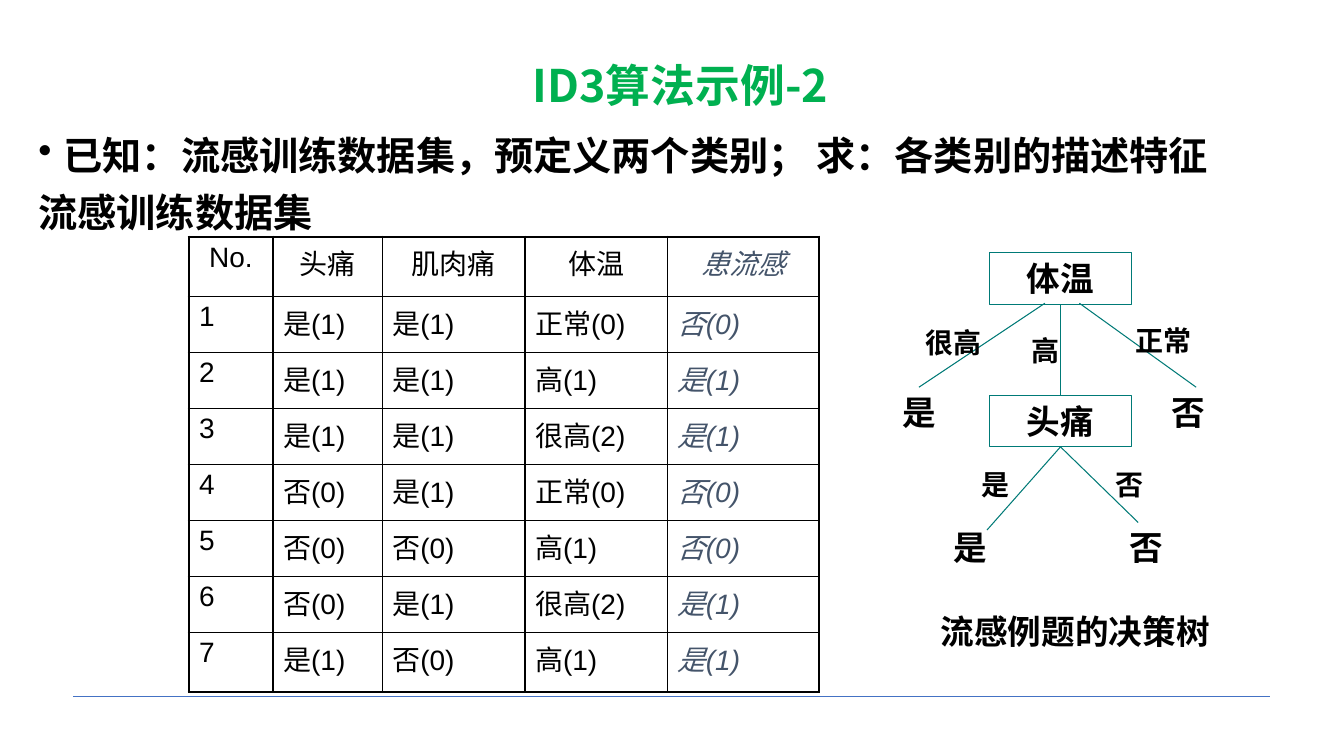
from pptx import Presentation
from pptx import util as u
from pptx.dml.color import RGBColor
from pptx.enum import shapes, text
from pptx.oxml.xmlchemy import OxmlElement

BLACK = RGBColor(0x00, 0x00, 0x00)
GREEN = RGBColor(0x00, 0xB0, 0x50)
TEAL = RGBColor(0x00, 0x7A, 0x77)
BLUE = RGBColor(0x44, 0x72, 0xC4)
SLATE = RGBColor(0x44, 0x54, 0x6A)
CJK_FONT = "Noto Sans CJK SC"
COLUMNS, ROWS = 160, 90
THICK, THIN = 2.25, 1

HEADERS = ["No.", "头痛", "肌肉痛", "体温", "患流感"]
RECORDS = [
    ["是(1)", "是(1)", "正常(0)", "否(0)"],
    ["是(1)", "是(1)", "高(1)", "是(1)"],
    ["是(1)", "是(1)", "很高(2)", "是(1)"],
    ["否(0)", "是(1)", "正常(0)", "否(0)"],
    ["否(0)", "否(0)", "高(1)", "否(0)"],
    ["否(0)", "是(1)", "很高(2)", "是(1)"],
    ["是(1)", "否(0)", "高(1)", "是(1)"],
]
COLUMN_WIDTHS = [10, 13, 17, 17, 18]
ROW_HEIGHTS = [7.1] + [6.67] * 6 + [7.1]
BRANCH_LABELS = [
    ("很高", 108.5, 38.2, 10),
    ("正常", 133.5, 37.9, 10),
    ("高", 120.5, 39.1, 8),
    ("否", 130.5, 55.1, 8),
    ("是", 114.5, 55.1, 8),
]
LEAVES = [
    ("是", 105.5, 46.1),
    ("否", 137.5, 46.1),
    ("是", 111.5, 62.1),
    ("否", 132.5, 62.1),
]


class SlideBuilder:
    """Draws styled elements on one slide, measured in grid columns and rows."""

    def __init__(self, presentation):
        self.slide = presentation.slides.add_slide(presentation.slide_layouts[6])
        self.column = presentation.slide_width / COLUMNS
        self.row = presentation.slide_height / ROWS
        self.font = {"name": "Arial", "size": u.Pt(24), "bold": True, "italic": False}

    def place(self, *values):
        return [round(value * (self.row if index % 2 else self.column))
                for index, value in enumerate(values)]

    def add_wording(self, paragraph, wording, color=BLACK, align=text.PP_ALIGN.CENTER,
                    **changes):
        paragraph.alignment = align
        run = paragraph.add_run()
        run.text = wording
        for name, value in {**self.font, **changes}.items():
            setattr(run.font, name, value)
        run.font.color.rgb = color
        east_asian = OxmlElement("a:ea")
        east_asian.set("typeface", CJK_FONT)
        run.font._element.append(east_asian)

    def label(self, wording, left, top, width, height, **changes):
        box = self.slide.shapes.add_textbox(*self.place(left, top, width, height))
        box.text_frame.word_wrap = True
        self.add_wording(box.text_frame.paragraphs[0], wording, **changes)
        return box

    def title(self, wording, *area):
        box = self.label(wording, *area, color=GREEN, name=CJK_FONT, size=u.Pt(32))
        box.text_frame.vertical_anchor = text.MSO_ANCHOR.MIDDLE
        box.text_frame.paragraphs[0].line_spacing = 0.9

    def body(self, lines, *area):
        frame = self.slide.shapes.add_textbox(*self.place(*area)).text_frame
        frame.word_wrap = True
        for index, (wording, bullet) in enumerate(lines):
            paragraph = frame.add_paragraph() if index else frame.paragraphs[0]
            self.add_wording(paragraph, wording, align=text.PP_ALIGN.LEFT, size=u.Pt(28))
            paragraph.line_spacing = 0.9
            paragraph.space_before = u.Pt(10)
            properties = paragraph._p.get_or_add_pPr()
            properties.set("marL", str(u.Inches(0.25)))
            properties.set("indent", str(u.Inches(-0.25)))
            mark = OxmlElement("a:buChar" if bullet else "a:buNone")
            if bullet:
                mark.set("char", bullet)
            properties.append(mark)

    def node(self, wording, *area):
        box = self.slide.shapes.add_shape(shapes.MSO_SHAPE.RECTANGLE, *self.place(*area))
        box.shadow.inherit = False
        box.fill.background()
        box.line.color.rgb = TEAL
        box.line.width = u.Pt(0.75)
        box.text_frame.vertical_anchor = text.MSO_ANCHOR.TOP
        self.add_wording(box.text_frame.paragraphs[0], wording)
        return box

    def line(self, *ends, color=TEAL, width=0.75, begin=None, end=None):
        connector = self.slide.shapes.add_connector(
            shapes.MSO_CONNECTOR.STRAIGHT, *self.place(*ends))
        connector.line.color.rgb = color
        connector.line.width = u.Pt(width)
        connector._element.spPr.append(OxmlElement("a:effectLst"))
        if begin is not None:
            connector.begin_connect(begin, 2)
        if end is not None:
            connector.end_connect(end, 0)

    def border(self, cell, widths):
        properties = cell._tc.get_or_add_tcPr()
        for index, (side, width) in enumerate(widths.items()):
            edge = OxmlElement(f"a:ln{side}")
            edge.set("w", str(u.Pt(width)))
            fill = OxmlElement("a:solidFill")
            color = OxmlElement("a:srgbClr")
            color.set("val", str(BLACK))
            fill.append(color)
            edge.append(fill)
            properties.insert(index, edge)

    def table(self, records, left, top):
        area = self.place(left, top, sum(COLUMN_WIDTHS), sum(ROW_HEIGHTS))
        table = self.slide.shapes.add_table(len(records), len(records[0]), *area).table
        table.first_row = table.horz_banding = False
        for column, width in zip(table.columns, COLUMN_WIDTHS):
            column.width = round(width * self.column)
        for row, height in zip(table.rows, ROW_HEIGHTS):
            row.height = round(height * self.row)
        last_row, last_column = len(records) - 1, len(records[0]) - 1
        for r, record in enumerate(records):
            for c, wording in enumerate(record):
                cell = table.cell(r, c)
                cell.fill.background()
                is_class = c == last_column
                self.add_wording(cell.text_frame.paragraphs[0], wording,
                                 color=SLATE if is_class else BLACK,
                                 align=text.PP_ALIGN.LEFT if r else text.PP_ALIGN.CENTER,
                                 size=u.Pt(20), bold=False, italic=is_class)
                self.border(cell, {
                    "L": THIN if c else THICK,
                    "R": THICK if is_class else THIN,
                    "T": THIN if r else THICK,
                    "B": THICK if r == last_row else THIN,
                })

    def decision_tree(self):
        temperature = self.node("体温", 117.75, 30.1, 17, 6.1)
        headache = self.node("头痛", 117.75, 47.1, 17, 6.1)
        self.line(124.4, 36.1, 109.4, 46.1)
        self.line(128.5, 36.1, 142.4, 46.1)
        self.line(126.25, 36.2, 126.25, 47.1, begin=temperature, end=headache)
        self.line(126.25, 53.2, 117.5, 63.1, begin=headache)
        self.line(126.25, 53.2, 135.5, 62.2, begin=headache)
        for wording, left, top, width in BRANCH_LABELS:
            self.label(wording, left, top, width, 5.2, size=u.Pt(20))
        for wording, left, top in LEAVES:
            self.label(wording, left, top, 8, 6)
        self.label("流感例题的决策树", 109.5, 72.1, 37, 6.1)


def main():
    presentation = Presentation()
    presentation.slide_width = u.Inches(13.33)
    presentation.slide_height = u.Inches(7.5)
    builder = SlideBuilder(presentation)
    builder.line(8.7, 82.9, 151.2, 82.9, color=BLUE, width=0.5)
    builder.title("ID3算法示例-2", 25, 6, 112, 9)
    builder.body([("已知：流感训练数据集，预定义两个类别； 求：各类别的描述特征", "•"),
                  ("流感训练数据集", None)], 3.4, 15.7, 156, 19)
    builder.decision_tree()
    numbered = [[str(number), *record] for number, record in enumerate(RECORDS, 1)]
    builder.table([HEADERS, *numbered], 22.5, 28.2)
    presentation.save("out.pptx")


if __name__ == "__main__":
    main()
